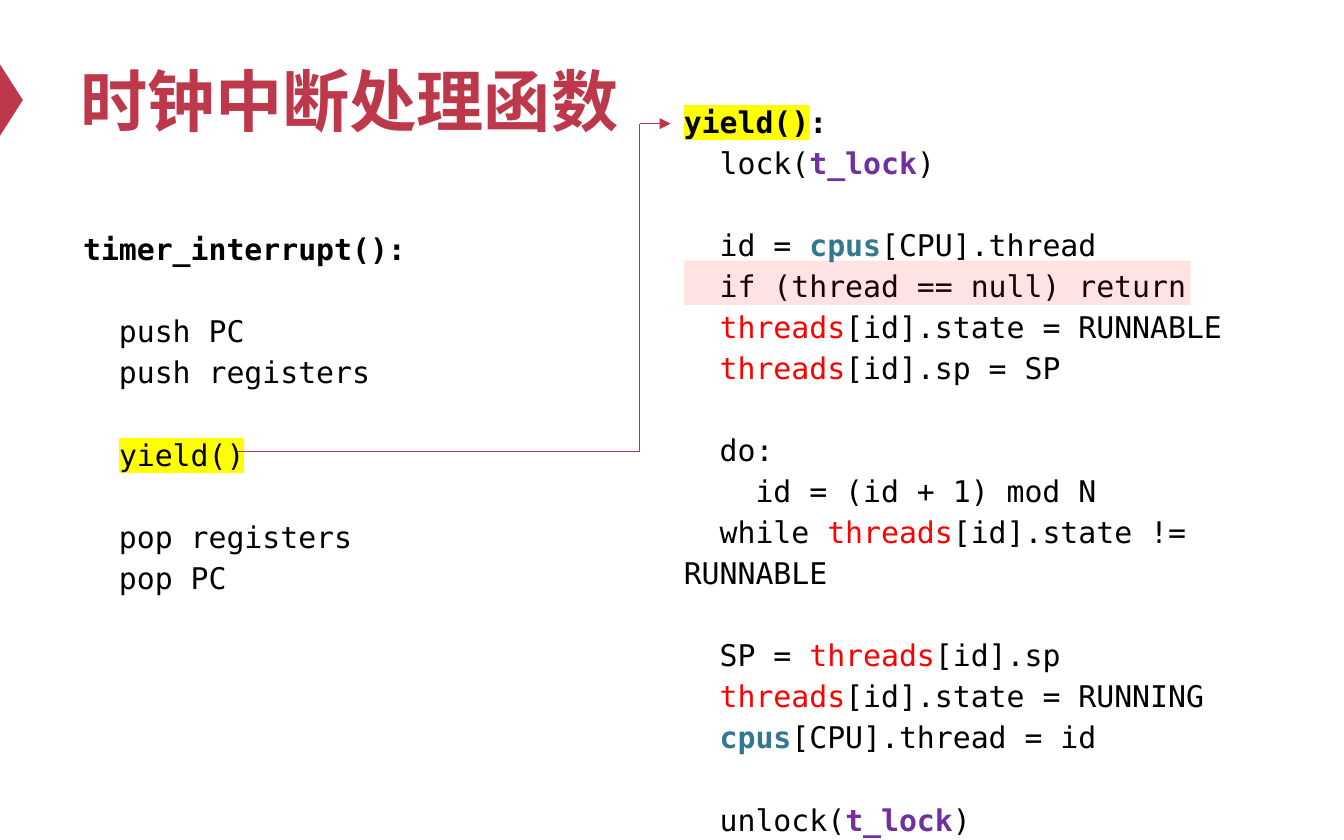
import lxml.etree
import pptx
import pptx.dml.color
import pptx.enum.shapes
import pptx.enum.text
import pptx.oxml.ns
import pptx.util

Inches = pptx.util.Inches
Pt = pptx.util.Pt
RGBColor = pptx.dml.color.RGBColor
Shapes = pptx.enum.shapes.MSO_SHAPE

CRIMSON = RGBColor(0xBE, 0x38, 0x4B)
ARROW_RED = RGBColor(0xBD, 0x33, 0x47)
BLACK = RGBColor(0, 0, 0)
RED = RGBColor(0xFF, 0, 0)
PURPLE = RGBColor(0x70, 0x30, 0xA0)
TEAL = RGBColor(0x32, 0x78, 0x8E)
YELLOW = RGBColor(0xFF, 0xFF, 0)

# Code lines: "|" separates spans, and a span that equals a keyword takes its style
KEYWORDS = {
    "threads": {"color": RED},
    "cpus": {"color": TEAL, "bold": True},
    "t_lock": {"color": PURPLE, "bold": True},
    "yield()": {"highlight": YELLOW},
}
TIMER_CODE = """timer_interrupt():

  push PC
  push registers

  |yield()

  pop registers
  pop PC"""
YIELD_CODE = """yield()|:
  lock(|t_lock|)

  id = |cpus|[CPU].thread
  if (thread == null) return
  |threads|[id].state = RUNNABLE
  |threads|[id].sp = SP

  do:
    id = (id + 1) mod N
  while |threads|[id].state != RUNNABLE

  SP = |threads|[id].sp
  |threads|[id].state = RUNNING
  |cpus|[CPU].thread = id

  unlock(|t_lock|)"""


def add_xml(parent, tag, **attributes):
    return lxml.etree.SubElement(parent, pptx.oxml.ns.qn(tag), attributes)


class CodeSlide:
    """Holds the deck style and the current page."""

    code_font = "DejaVu Sans Mono"
    code_size = Pt(16)
    line_pitch = Pt(22)

    def __init__(self, page):
        self.page = page

    def format_font(self, font, color, **values):
        for name, value in values.items():
            setattr(font, name, value)
        font.color.rgb = color

    def title(self, text, left, top, width, height):
        box = self.page.shapes.title
        frame_values = {"left": left, "top": top, "width": width, "height": height}
        for name, value in frame_values.items():
            setattr(box, name, Inches(value))
        frame = box.text_frame
        frame.text = text
        frame.auto_size = pptx.enum.text.MSO_AUTO_SIZE.NONE
        frame.vertical_anchor = pptx.enum.text.MSO_ANCHOR.MIDDLE
        para = frame.paragraphs[0]
        para.alignment = pptx.enum.text.PP_ALIGN.LEFT
        self.format_font(para.runs[0].font, CRIMSON, name="Arial", size=Pt(36), bold=True)

    def code(self, text, left, top, width, height):
        box = self.page.shapes.add_textbox(*map(Inches, (left, top, width, height)))
        frame = box.text_frame
        frame.word_wrap = True
        frame.auto_size = pptx.enum.text.MSO_AUTO_SIZE.SHAPE_TO_FIT_TEXT
        gap = False
        for number, line in enumerate(text.split("\n")):
            if not line:
                gap = True
                continue
            para = frame.add_paragraph() if number else frame.paragraphs[0]
            para.line_spacing = self.line_pitch
            if gap:
                para.space_before = self.line_pitch
            gap = False
            for part in line.split("|"):
                if part:
                    self.span(para, part, heading=number == 0)

    def span(self, para, text, heading):
        style = KEYWORDS.get(text, {})
        span = para.add_run()
        span.text = text
        self.format_font(span.font, style.get("color", BLACK), name=self.code_font,
                         size=self.code_size, bold=heading or style.get("bold", False))
        if "highlight" in style:
            properties = span.font._element
            mark = add_xml(properties, "a:highlight")
            add_xml(mark, "a:srgbClr", val=str(style["highlight"]))
            properties.find(pptx.oxml.ns.qn("a:latin")).addprevious(mark)

    def shape(self, kind, color, left, top, width, height, rotation=0, opacity=None):
        shape = self.page.shapes.add_shape(kind, *map(Inches, (left, top, width, height)))
        shape.rotation = rotation
        shape.shadow.inherit = False
        shape.fill.solid()
        shape.fill.fore_color.rgb = color
        shape.line.fill.background()
        if opacity is not None:
            tint = shape._element.spPr.find(".//" + pptx.oxml.ns.qn("a:srgbClr"))
            add_xml(tint, "a:alpha", val=str(opacity * 1000))

    def arrow_path(self, points):
        for start, end in zip(points, points[1:]):
            line = self.page.shapes.add_connector(
                pptx.enum.shapes.MSO_CONNECTOR.STRAIGHT, *map(Inches, start + end))
            line.line.color.rgb = ARROW_RED
            line.line.width = Pt(0.75)
            if end == points[-1]:
                add_xml(line.line._get_or_add_ln(), "a:tailEnd", type="triangle")
            add_xml(line._element.spPr, "a:effectLst")


def main():
    deck = pptx.Presentation()
    deck.slide_width = Inches(10)
    deck.slide_height = Inches(6.25)
    slide = CodeSlide(deck.slides.add_slide(deck.slide_layouts[5]))

    # Title and its side marker
    slide.shape(Shapes.ISOSCELES_TRIANGLE, CRIMSON, -0.18, 0.66, 0.53, 0.17, rotation=90)
    slide.title("时钟中断处理函数", 0.5, 0.25, 9, 0.98)

    # The interrupt handler and the function it calls
    slide.code(TIMER_CODE, 0.52, 1.63, 9.12, 2.86)
    slide.code(YIELD_CODE, 4.99, 0.68, 5, 5.33)

    # Call arrow, and the tint over the null check
    slide.arrow_path([(1.77, 3.36), (4.76, 3.36), (4.76, 0.92), (4.99, 0.92)])
    slide.shape(Shapes.RECTANGLE, RED, 5.09, 1.94, 3.77, 0.33, opacity=11)

    deck.save("out.pptx")


if __name__ == "__main__":
    main()
